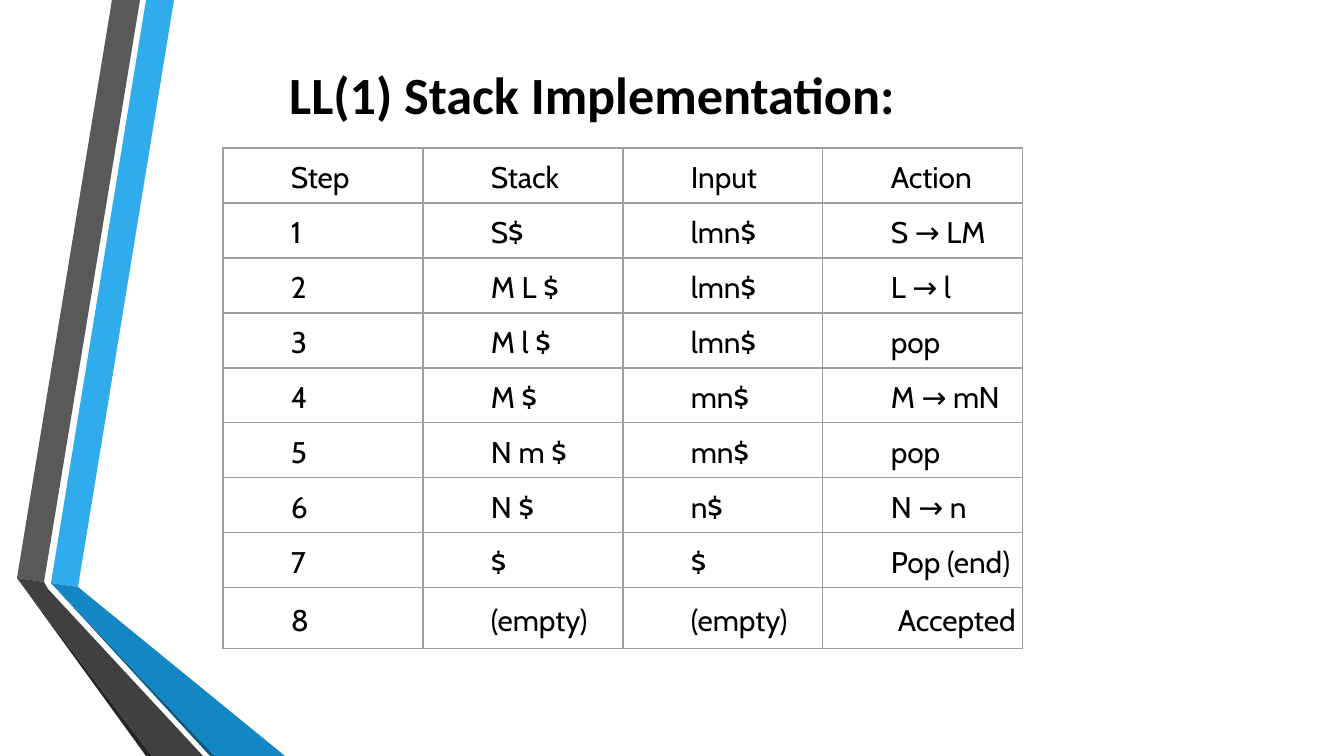
from lxml import etree
from pptx import Presentation
from pptx.dml.color import RGBColor
from pptx.enum.text import MSO_ANCHOR
from pptx.oxml.ns import qn
from pptx.util import Pt

PX = 914400 / 134.4  # EMU in one px
TOP, MIDDLE = MSO_ANCHOR.TOP, MSO_ANCHOR.MIDDLE
COLORS = {
    "text": "000000", "border": "9E9E9E",
    "sky": "30ACEC", "blue": "1287C3", "navy": "0C5A82",
    "gray": "595959", "dark": "404040", "black": "262626",
}

# Ribbon corners, in px
GRAY_BEND, GRAY_EDGE = (17, 578), (44, 582)
BLUE_BEND, BLUE_EDGE = (51, 583), (78, 587)
RIBBONS = [
    ("sky", [BLUE_BEND, BLUE_EDGE, (174, 0), (146, 0)]),
    ("gray", [(140, 0), (112, 0), GRAY_BEND, GRAY_EDGE]),
    ("black", [GRAY_BEND, (146, 756), (152, 756)]),
    ("navy", [BLUE_BEND, (210, 756), (215, 756)]),
    ("blue", [BLUE_BEND, (215, 756), (285, 756), BLUE_EDGE]),
    ("dark", [(203, 756), (48, 589), GRAY_EDGE, GRAY_BEND, (152, 756)]),
]

STEPS = [
    ("Step", "Stack", "Input", "Action"),
    ("1", "S$", "lmn$", "S → LM"),
    ("2", "M L $", "lmn$", "L → l"),
    ("3", "M l $", "lmn$", "pop"),
    ("4", "M $", "mn$", "M → mN"),
    ("5", "N m $", "mn$", "pop"),
    ("6", "N $", "n$", "N → n"),
    ("7", "$", "$", "Pop (end)"),
    ("8", "(empty)", "(empty)", "Accepted"),
]
COL, ROW, LAST_ROW = 200, 55, 61
INDENT, LAST_INDENT = 67, 74

TITLE_FONT = {"name": "Calibri", "size": Pt(28), "bold": True}
CELL_FONT = {"name": "Cabin", "size": Pt(16)}


def px(n):
    return round(n * PX)


def rgb(key):
    return RGBColor.from_string(COLORS[key])


def apply(target, values):
    for name, value in values.items():
        setattr(target, name, value)


def write(par, text, font):
    par.text = text
    apply(par.font, font)
    par.font.color.rgb = rgb("text")


def add_ribbon(slide, color, points):
    pen = slide.shapes.build_freeform(*points[0], scale=PX)
    pen.add_line_segments(points[1:], close=True)
    shape = pen.convert_to_shape()
    shape.shadow.inherit = False
    shape.fill.solid()
    shape.fill.fore_color.rgb = rgb(color)
    shape.line.fill.background()


def add_title(slide, text):
    box = slide.shapes.add_textbox(px(276), px(56), px(933), px(140))
    frame = box.text_frame
    apply(frame, {"word_wrap": True, "vertical_anchor": TOP})
    write(frame.paragraphs[0], text, TITLE_FONT)


def add_borders(cell):
    props = cell._tc.get_or_add_tcPr()
    for i, side in enumerate(("lnL", "lnR", "lnT", "lnB")):
        line = etree.Element(qn(f"a:{side}"), w=str(Pt(0.75)))
        fill = etree.SubElement(line, qn("a:solidFill"))
        etree.SubElement(fill, qn("a:srgbClr"), val=COLORS["border"])
        props.insert(i, line)


def fill_cell(cell, text, indent, after):
    sides = ("left", "right", "top", "bottom")
    apply(cell, {f"margin_{side}": px(1) for side in sides})
    cell.vertical_anchor = MIDDLE
    par = cell.text_frame.paragraphs[0]
    props = par._p.get_or_add_pPr()
    props.set("marL", str(px(indent)))
    props.set("indent", "0")
    apply(par, {"line_spacing": 1.15, "space_after": Pt(after)})
    write(par, text, CELL_FONT)
    add_borders(cell)
    cell.fill.background()


def add_steps(slide, rows):
    count, width = len(rows), len(rows[0])
    height = ROW * (count - 1) + LAST_ROW
    frame = slide.shapes.add_table(
        count, width, px(223), px(148), px(COL * width), px(height))
    table = frame.table
    apply(table, {"first_row": False, "horz_banding": False})
    for col in table.columns:
        col.width = px(COL)
    for r, row in enumerate(rows):
        table.rows[r].height = px(LAST_ROW if r == count - 1 else ROW)
        for c, text in enumerate(row):
            end = c == width - 1
            indent = LAST_INDENT if end and r == count - 1 else INDENT
            fill_cell(table.cell(r, c), text, indent, 8 if end else 0)


def main():
    deck = Presentation()
    apply(deck, {"slide_width": px(1344), "slide_height": px(756)})
    slide = deck.slides.add_slide(deck.slide_layouts[6])
    # Folded ribbons on the left
    for color, points in RIBBONS:
        add_ribbon(slide, color, points)
    # Parsing steps and heading
    add_steps(slide, STEPS)
    add_title(slide, "LL(1) Stack Implementation:")
    deck.save("out.pptx")


if __name__ == "__main__":
    main()
